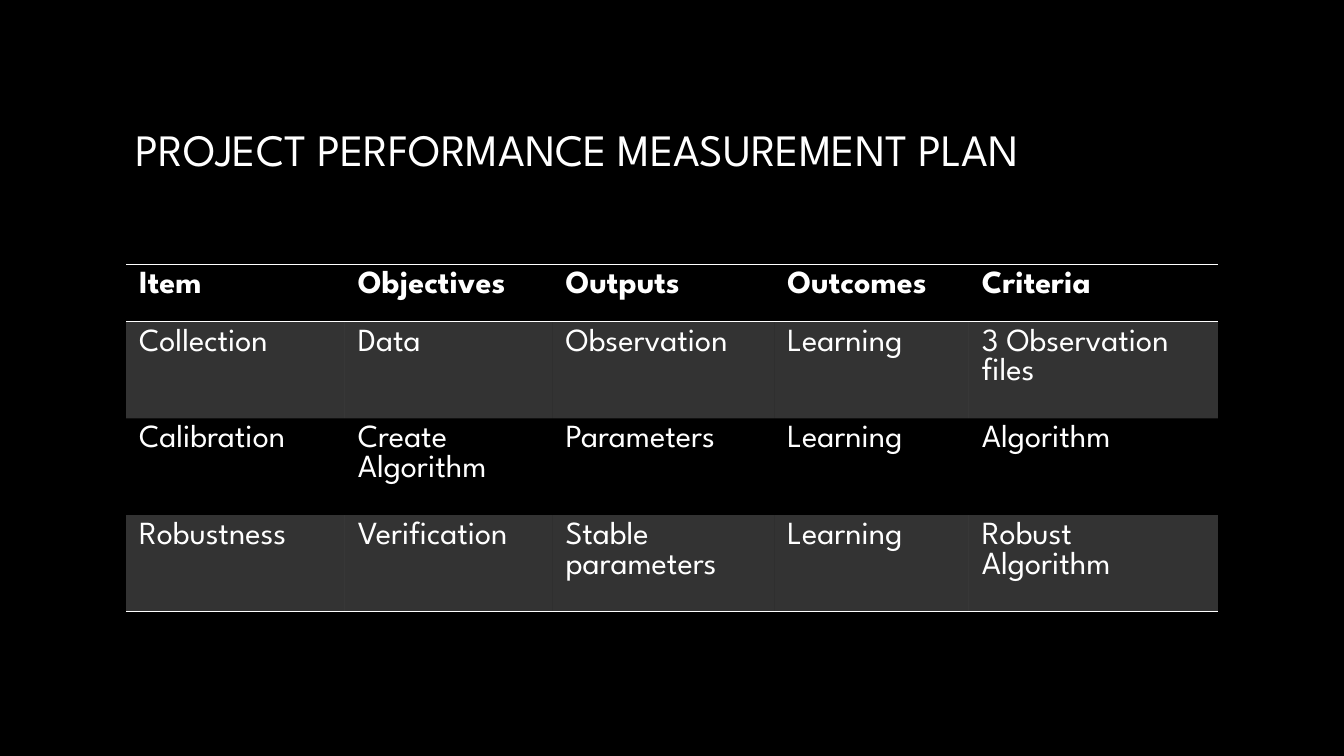
from lxml import etree
from pptx import Presentation
from pptx.dml.color import RGBColor
from pptx.enum.text import MSO_ANCHOR
from pptx.oxml import parse_xml
from pptx.oxml.ns import nsdecls, qn
from pptx.util import Inches, Pt

TITLE = "PROJECT PERFORMANCE MEASUREMENT PLAN"
ROWS = [
    ("Item", "Objectives", "Outputs", "Outcomes", "Criteria"),
    ("Collection", "Data", "Observation", "Learning", "3 Observation files"),
    ("Calibration", "Create Algorithm", "Parameters", "Learning", "Algorithm"),
    ("Robustness", "Verification", "Stable parameters", "Learning", "Robust Algorithm"),
]
WIDTHS = [2.17, 2.06, 2.2, 1.93, 2.47]
HEIGHTS = [0.57, 0.96, 0.96, 0.96]
EDGES = {0: ("lnT", "lnB"), len(ROWS) - 1: ("lnB",)}

FONT = "League Spartan"
BLACK = RGBColor(0, 0, 0)
WHITE = RGBColor(255, 255, 255)
MIDDLE = MSO_ANCHOR.MIDDLE
NO_GRID = "{2D5ABB26-0587-4C30-8999-92F81FD0307C}"
LEFT, WIDE = Inches(1.25), Inches(10.83)


def style(run, size, bold=False):
    run.font.name = FONT
    run.font.size = Pt(size)
    run.font.bold = bold
    run.font.color.rgb = WHITE


def add_glow(run):
    shade = parse_xml(
        f'<a:effectLst {nsdecls("a")}>'
        '<a:outerShdw blurRad="38100" dist="25400" dir="2700000">'
        f'<a:srgbClr val="{WHITE}"><a:alpha val="40000"/></a:srgbClr>'
        '</a:outerShdw></a:effectLst>')
    run.font.fill._xPr.find(qn("a:solidFill")).addnext(shade)


def add_title(slide):
    box = slide.shapes.add_textbox(LEFT, Inches(0.67), WIDE, Inches(1.61))
    frame = box.text_frame
    frame.word_wrap = True
    frame.vertical_anchor = MIDDLE
    frame.text = TITLE
    run = frame.paragraphs[0].runs[0]
    style(run, 32)
    add_glow(run)


def fill_cell(cell, text, row):
    cell.margin_left = cell.margin_right = Inches(0.13)
    cell.margin_top = cell.margin_bottom = Inches(0.07)
    cell.text = text
    style(cell.text_frame.paragraphs[0].runs[0], 23, row == 0)
    props = cell._tc.get_or_add_tcPr()
    if row % 2:
        cell.fill.solid()
        cell.fill.fore_color.rgb = WHITE
        color = props.find(".//" + qn("a:srgbClr"))
        etree.SubElement(color, qn("a:alpha")).set("val", "20000")
    else:
        cell.fill.background()
    for spot, side in enumerate(EDGES.get(row, ())):
        props.insert(spot, parse_xml(
            f'<a:{side} {nsdecls("a")} w="{Pt(1)}"><a:solidFill>'
            f'<a:srgbClr val="{WHITE}"/></a:solidFill></a:{side}>'))


def add_plan(slide):
    frame = slide.shapes.add_table(
        len(ROWS), len(WIDTHS), LEFT, Inches(2.62), WIDE, Inches(sum(HEIGHTS)))
    frame.element.find(".//" + qn("a:tableStyleId")).text = NO_GRID
    table = frame.table
    table.horz_banding = False
    for col, width in zip(table.columns, WIDTHS):
        col.width = Inches(width)
    for row, (texts, height) in enumerate(zip(ROWS, HEIGHTS)):
        table.rows[row].height = Inches(height)
        for col, text in enumerate(texts):
            fill_cell(table.cell(row, col), text, row)


def main():
    deck = Presentation()
    deck.slide_width, deck.slide_height = Inches(13.33), Inches(7.5)
    slide = deck.slides.add_slide(deck.slide_layouts[6])
    slide.background.fill.solid()
    slide.background.fill.fore_color.rgb = BLACK
    add_title(slide)
    add_plan(slide)
    deck.save("out.pptx")


if __name__ == "__main__":
    main()
